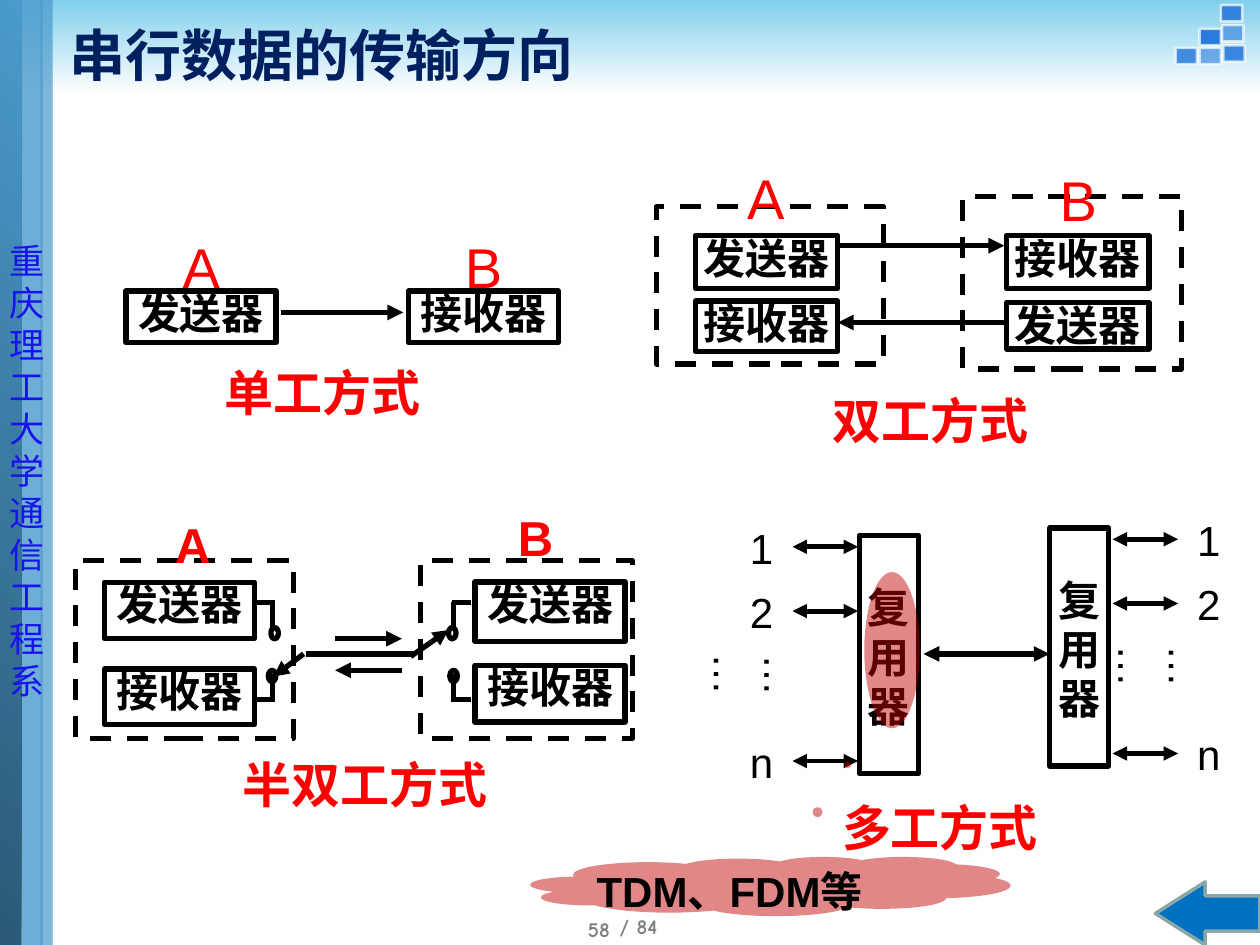
from lxml import etree
from pptx import Presentation
from pptx.dml.color import RGBColor
from pptx.enum.dml import MSO_LINE
from pptx.enum.shapes import MSO_CONNECTOR, MSO_SHAPE as Shape
from pptx.enum.text import MSO_ANCHOR as Anchor, PP_ALIGN as Align
from pptx.oxml.ns import qn
from pptx.util import Inches, Pt

COLORS = {
    "black": "000000", "red": "FF0000", "navy": "002060", "sky": "81CFEB",
    "white": "FFFFFF", "square": "297CDD", "stripe": "4A9ACC", "deep": "2B5976",
    "school": "1813EB", "cloud": "C00000", "back": "0070C0", "back_edge": "8AA6A8",
    "page": "7F7F7F", "total": "808080",
}

prs = Presentation()
prs.slide_width, prs.slide_height = Inches(10), Inches(7.5)
COL, ROW = prs.slide_width / 100, prs.slide_height / 75
slide = prs.slides.add_slide(prs.slide_layouts[6])


def box(place, text="", kind=Shape.RECTANGLE, fill=None, alpha=100, edge=None,
        width=3, edge_alpha=100, dash=False, size=24, color="black", bold=True,
        font="Arial", align=Align.CENTER, anchor=Anchor.TOP, spacing=0.96,
        inset=(0, 0), vert=None):
    x, y, w, h = place
    area = [round(n) for n in (x * COL, y * ROW, w * COL, h * ROW)]
    if fill or edge:
        part = slide.shapes.add_shape(kind, *area)
        part.shadow.inherit = False
        if isinstance(fill, tuple):
            start, end, angle = fill
            part.fill.gradient()
            part.fill.gradient_angle = angle
            for stop, name in zip(part.fill.gradient_stops, (start, end)):
                stop.color.rgb = RGBColor.from_string(COLORS[name])
        elif fill:
            part.fill.solid()
            part.fill.fore_color.rgb = RGBColor.from_string(COLORS[fill])
        else:
            part.fill.background()
        if edge:
            part.line.color.rgb = RGBColor.from_string(COLORS[edge])
            part.line.width = Pt(width)
            if dash:
                part.line.dash_style = MSO_LINE.DASH
        else:
            part.line.fill.background()
        for holder, share in ((part._element.spPr, alpha), (part.line._ln, edge_alpha)):
            if share < 100:
                tint = holder.find(qn("a:solidFill")).find(qn("a:srgbClr"))
                etree.SubElement(tint, qn("a:alpha")).set("val", str(share * 1000))
    else:
        part = slide.shapes.add_textbox(*area)
    if text:
        frame = part.text_frame
        frame.word_wrap = True
        frame.vertical_anchor = anchor
        frame.margin_left = frame.margin_right = round(inset[0] * COL)
        frame.margin_top = round(inset[1] * ROW)
        frame.margin_bottom = 0
        if vert:
            frame._txBody.bodyPr.set("vert", vert)
        frame.text = text
        for para in frame.paragraphs:
            para.alignment, para.line_spacing = align, spacing
            para.font.size, para.font.bold, para.font.name = Pt(size), bold, font
            para.font.color.rgb = RGBColor.from_string(COLORS[color])
    return part


def wire(x1, y1, x2, y2, head=False, tail=False, width=3):
    ends = [round(n) for n in (x1 * COL, y1 * ROW, x2 * COL, y2 * ROW)]
    link = slide.shapes.add_connector(MSO_CONNECTOR.STRAIGHT, *ends)
    link.line.color.rgb = RGBColor.from_string(COLORS["black"])
    link.line.width = Pt(width)
    for tag, wanted in (("a:headEnd", head), ("a:tailEnd", tail)):
        if wanted:
            etree.SubElement(link.line._ln, qn(tag)).set("type", "triangle")
    etree.SubElement(link._element.spPr, qn("a:effectLst"))


box((0, 0, 100, 7.5), fill=("sky", "white", 270))
for x, y, alpha in ((97.1, 3.6, 90), (95.2, 3.8, 60), (93.3, 3.8, 85),
                    (95.2, 2.3, 100), (97, 2, 60), (96.9, 0.4, 90)):
    box((x, y, 1.7, 1.3), fill="square", alpha=alpha, edge="white", width=1.5,
        edge_alpha=70).rotation = 0
box((1.1, 0, 2.3, 75), fill="stripe", alpha=80)
box((-0.1, 0, 1.8, 75.3), fill=("deep", "stripe", 45))
box((3.2, 0, 1, 75.1), fill="stripe", alpha=54)
box((3.3, 0, 0.8, 75.2), fill="stripe", alpha=37)
box((-0.2, 18.5, 7, 38), "重庆理工大学\n通信工程系", size=20, color="school", bold=False,
    font="Noto Sans CJK SC", align=Align.LEFT, spacing=Pt(24), inset=(1, 0.5))
box((4.5, 0.8, 96.3, 7), "串行数据的传输方向", size=32, color="navy", font="Comic Neue",
    align=Align.LEFT, anchor=Anchor.MIDDLE, spacing=1.0, inset=(1, 0))

for area in ((33.4, 44.5, 16.8, 14.1), (6, 44.5, 17.3, 14.1),
             (76.4, 15.6, 17.4, 13.7), (52.1, 16.4, 18, 12.5)):
    box(area, edge="black", dash=True)

for role, *area in (
        ("发送器", 10, 23.1, 11.9, 4.1), ("接收器", 32.4, 23.1, 11.9, 4.1),
        ("发送器", 8.3, 46.2, 11.9, 4.5), ("发送器", 37.7, 46.2, 11.9, 4.7),
        ("接收器", 8.3, 53.1, 11.9, 4.4), ("接收器", 37.7, 52.8, 11.9, 4.5),
        ("发送器", 55.2, 18.7, 11.3, 4.2), ("接收器", 79.9, 18.7, 11.3, 4.2),
        ("接收器", 55.2, 23.9, 11.3, 4), ("发送器", 79.9, 24, 11.3, 3.7)):
    box(area, role, edge="black")

for station, x, y in (("A", 14.5, 18.8), ("B", 36.9, 18.8),
                      ("A", 59.3, 13.3), ("B", 84.1, 13.5)):
    box((x, y, 3, 3.6), station, size=32, color="red", bold=False, align=Align.LEFT)
for station, x, y in (("A", 13.8, 41.1), ("B", 41, 40.6)):
    box((x, y, 3, 2.9), station, size=28, color="red")
for mode, *area in (("单工方式", 13.8, 29.1, 23.6, 4.5), ("半双工方式", 17.2, 60.2, 23.5, 4.7),
                    ("双工方式", 62.7, 31.3, 22.3, 4.9), ("多工方式", 63.1, 63.6, 23, 4.3)):
    box(area, mode, size=28, color="red")

for x1, y, x2 in ((22.3, 24.8, 32), (26.6, 50.7, 31.9), (31.9, 53.2, 26.6),
                  (66.5, 19.5, 79.7), (79.7, 25.6, 66.5)):
    wire(x1, y, x2, y, tail=True)

for outer, inner, post, upper, lower in ((20.2, 21.8, 21.6, 21.5, 21.3),
                                         (37.4, 35.9, 36, 35.6, 35.7)):
    wire(outer, 47.8, inner, 47.8)
    wire(post, 47.8, post, 49.9)
    wire(outer, 55.5, inner, 55.5)
    wire(post, 53.5, post, 55.7)
    for x, y in ((upper, 49.8), (lower, 53.2)):
        box((x, y, 0.6, 0.9), kind=Shape.FLOWCHART_CONNECTOR, edge="black")
wire(24.3, 51.9, 32.9, 51.9)
wire(24.1, 51.9, 21.7, 53.7, tail=True)
wire(35.6, 50, 32.6, 52.1, head=True)

for top, mux_x, arrow_x, label_x, dots_x, dots_y in (
        (42.5, 68.2, 62.9, 58.1, 59.4, 51.9), (41.9, 83.3, 88.3, 93.6, 91.5, 51.2)):
    box((mux_x, top, 4.7, 18.9), "复\n用\n器", edge="black", spacing=Pt(28), inset=(0, 3.8))
    for channel, drop in (("1", 0.9), ("2", 6), ("n", 17.9)):
        wire(arrow_x, top + drop, arrow_x + 5.2, top + drop, True, True, 2.75)
        box((label_x, top + drop - 1.7, 4.7, 3.4), channel, bold=False)
    box((dots_x, dots_y, 4.6, 5.5), "……", bold=False, spacing=1.0, vert="eaVert")
wire(73.3, 51.9, 83.3, 51.9, True, True)

cloud = box((42.1, 68, 38.1, 4.7), "TDM、FDM等", Shape.CLOUD_CALLOUT, fill="cloud",
            alpha=47, align=Align.LEFT, spacing=1.0)
cloud.adjustments[0], cloud.adjustments[1] = 0.22, -2.81
box((68.6, 45.4, 4.4, 12.4), kind=Shape.OVAL, fill="cloud", alpha=47)
back = box((91.7, 70, 8.3, 5), kind=Shape.LEFT_ARROW, fill="back", edge="back_edge", width=2)
back.adjustments[0], back.adjustments[1] = 0.56, 0.79
box((44.2, 72.5, 4.2, 2.5), "58", size=12, color="page", font="Comic Neue",
    align=Align.RIGHT, anchor=Anchor.MIDDLE, spacing=1.0)
box((49.2, 72.5, 4.2, 2.5), "/ 84", size=12, color="total", font="Comic Neue",
    align=Align.LEFT, spacing=1.0)

prs.save("out.pptx")
